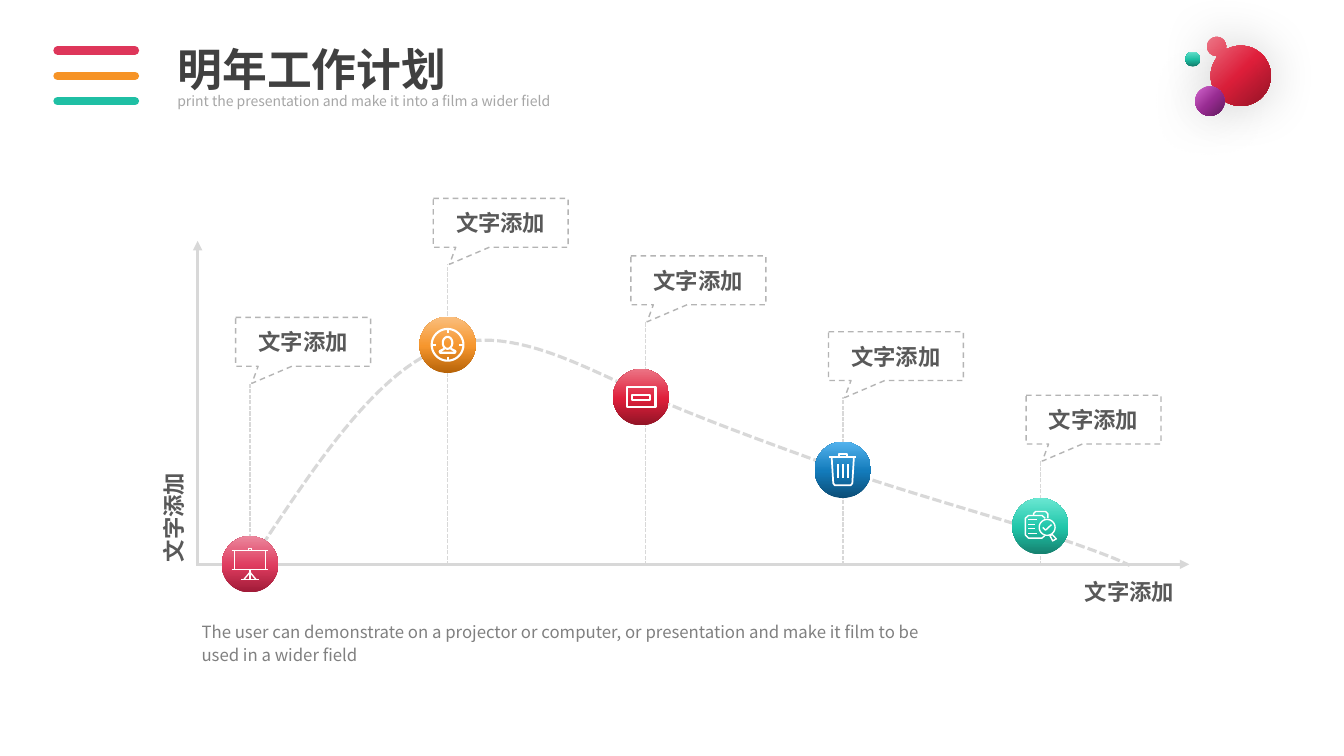
from dataclasses import dataclass
from math import cos, radians, sin

from pptx import Presentation
from pptx.dml.color import RGBColor
from pptx.enum.dml import MSO_LINE
from pptx.enum.shapes import MSO_CONNECTOR, MSO_SHAPE
from pptx.enum.text import MSO_ANCHOR, MSO_AUTO_SIZE, PP_ALIGN
from pptx.oxml import parse_xml
from pptx.oxml.ns import nsdecls, qn
from pptx.oxml.xmlchemy import OxmlElement
from pptx.util import Cm, Pt

Point = tuple[float, float]
Path = list[Point]

FONT = "Noto Sans CJK SC"
LABEL = "文字添加"
GREY, WHITE = "D8D8D8", "FFFFFF"
STEP, START, BASE = 4.98, 6.3, 14.25
DISC = 1.42
ROSE = ("9F1A37", "DF3C5F", "EB869C")
AMBER = ("B76308", "F6962D", "FABE7D")
RED = ("911426", "DF1F3B", "EC7485")
BLUE = ("0C4E77", "137BBB", "54B3EE")
TEAL = ("15806E", "20C6AA", "6AE7D2")
PLUM = ("601B5C", "972B91", "D367CE")


@dataclass
class Stage:
    top: float      # top of the callout
    mid: float      # centre of the disc
    tones: tuple[str, str, str]
    icon: list[Path]
    width: float = 1
    shift: float = 0


def arc(x: float, y: float, rx: float, ry: float, a: float = 0, b: float = 360) -> Path:
    turns = [radians(a + (b - a) * i / 40) for i in range(41)]
    return [(x + rx * cos(t), y + ry * sin(t)) for t in turns]


def box(x: float, y: float, w: float, h: float) -> Path:
    return [(x, y), (x + w, y), (x + w, y + h), (x, y + h), (x, y)]


def curve(start: Point, parts: list[tuple[Point, Point, Point]]) -> Path:
    """Turn a chain of cubic curves into short straight steps."""
    path = [start]
    for b, c, d in parts:
        a = path[-1]
        for i in range(1, 25):
            t = i / 24
            u = 1 - t
            mix = (u**3, 3 * u * u * t, 3 * u * t * t, t**3)
            path.append(tuple(sum(m * p[k] for m, p in zip(mix, (a, b, c, d))) for k in (0, 1)))
    return path


def paint(text: str) -> RGBColor:
    return RGBColor.from_string(text)


def pen(line, color: str, width: float, dash=None) -> None:
    line.color.rgb = paint(color)
    line.width = Pt(width)
    if dash:
        line.dash_style = dash


def blend(shape, tones: tuple[str, str, str], round_: bool = False) -> None:
    """Fill with three tones, upward or spreading from the lower right."""
    stops = "".join(f'<a:gs pos="{pos}"><a:srgbClr val="{tone}"/></a:gs>'
                    for pos, tone in zip((0, 48000, 100000), tones))
    way = ('<a:path path="circle"><a:fillToRect l="100000" t="100000"/></a:path>'
           if round_ else '<a:lin ang="16200000" scaled="0"/>')
    shape.fill.background()
    old = shape._element.spPr.find(qn("a:noFill"))
    old.getparent().replace(old, parse_xml(
        f'<a:gradFill {nsdecls("a")}><a:gsLst>{stops}</a:gsLst>{way}</a:gradFill>'))
    shape.line.fill.background()


def glow(shape) -> None:
    effects = shape._element.spPr.find(qn("a:effectLst"))
    effects.append(parse_xml(
        f'<a:outerShdw {nsdecls("a")} blurRad="{Pt(37)}" dist="0" algn="ctr" rotWithShape="0">'
        '<a:srgbClr val="000000"><a:alpha val="18000"/></a:srgbClr></a:outerShdw>'))


def rule(a: Point, b: Point, color: str, width: float, dash=None,
         arrow: bool = False, cap: bool = False) -> None:
    line = shapes.add_connector(MSO_CONNECTOR.STRAIGHT, *map(Cm, a + b))
    pen(line.line, color, width, dash)
    ln = line.line._get_or_add_ln()
    if arrow:
        tip = OxmlElement("a:tailEnd")
        tip.set("type", "triangle")
        ln.append(tip)
    if cap:
        ln.set("cap", "rnd")
    line._element.spPr.append(OxmlElement("a:effectLst"))


def trace(paths: list[Path], x: float = 0, y: float = 0):
    """Draw all paths as one outline, moved by x and y."""
    spots = [[(Cm(x + px), Cm(y + py)) for px, py in path] for path in paths]
    pencil = shapes.build_freeform(*spots[0][0], scale=1.0)
    for i, path in enumerate(spots):
        if i:
            pencil.move_to(*path[0])
        pencil.add_line_segments(path[1:], close=False)
    shape = pencil.convert_to_shape()
    shape.fill.background()
    shape.shadow.inherit = False
    return shape


def form(kind, x: float, y: float, w: float, h: float):
    shape = shapes.add_shape(kind, Cm(x), Cm(y), Cm(w), Cm(h))
    shape.shadow.inherit = False
    return shape


def write(shape, text: str, size: float, color: str, bold: bool = False,
          align=PP_ALIGN.CENTER, wrap: bool = True, space: float = 1) -> None:
    frame = shape.text_frame
    frame.auto_size = MSO_AUTO_SIZE.NONE
    frame.word_wrap = wrap
    frame.vertical_anchor = MSO_ANCHOR.MIDDLE
    para = frame.paragraphs[0]
    para.alignment, para.line_spacing = align, space
    run = para.add_run()
    run.text = text
    font = run.font
    font.name, font.size, font.bold = FONT, Pt(size), bold
    font.color.rgb = paint(color)
    east = OxmlElement("a:ea")
    east.set("typeface", FONT)
    font._element.find(qn("a:latin")).addnext(east)


def note(x: float, y: float, w: float, h: float):
    return shapes.add_textbox(Cm(x), Cm(y), Cm(w), Cm(h))


easel = [box(-.39, -.34, .78, .47), [(-.46, -.34), (.46, -.34)], [(-.46, .13), (.46, .13)],
         box(-.04, -.4, .08, .06), [(0, .13), (0, .38)],
         [(-.15, .38), (0, .2), (.15, .38)], [(-.23, .39), (.23, .39)]]
person = [arc(0, 0, .4, .4), arc(0, -.05, .12, .15),
          [(-.08, .1), (-.2, .16), (-.19, .2), (.19, .2), (.2, .16), (.08, .1)],
          *[[(.3 * dx, .3 * dy), (.4 * dx, .4 * dy)]
            for dx, dy in ((1, 0), (0, 1), (-1, 0), (0, -1))]]
card = [box(-.36, -.25, .72, .5), box(-.23, -.06, .46, .12)]
basket = [[(-.34, -.32), (.34, -.32)], [(-.1, -.32), (-.1, -.39), (.1, -.39), (.1, -.32)],
          [(-.28, -.32), (-.24, .34), (-.2, .39), (.2, .39), (.24, .34), (.28, -.32)],
          *[[(x, -.14), (x, .2)] for x in (-.13, 0, .13)]]
search = [[(.12, -.2), (.04, -.27), (-.3, -.27), (-.38, -.2), (-.38, .22), (-.3, .3),
           (.04, .3), (.11, .24)],
          [(-.17, -.27), (-.17, -.32), (-.12, -.37), (.13, -.37), (.19, -.31), (.19, -.2)],
          arc(.17, .03, .2, .2), [(.06, .03), (.13, .1), (.28, -.04)],
          [(.3, .21), (.24, .24), (.31, .37), (.4, .32), (.3, .21)],
          *[[(-.31, y), (x, y)] for x, y in ((-.08, -.17), (-.13, -.04), (-.13, .06), (-.08, .19))]]
stages = [Stage(8, 14.22, ROSE, easel), Stage(5, 8.69, AMBER, person, 1.5),
          Stage(6.45, 10.01, RED, card, 1.5, -.1), Stage(8.36, 11.84, BLUE, basket, 1.25),
          Stage(9.96, 13.26, TEAL, search)]

deck = Presentation()
deck.slide_width, deck.slide_height = Cm(33.87), Cm(19.05)
slide = deck.slides.add_slide(deck.slide_layouts[5])
shapes = slide.shapes

title = shapes.title
title.left, title.top, title.width, title.height = map(Cm, (4.22, .91, 7.34, 1.63))
write(title, "明年工作计划", 32, "404040", True, PP_ALIGN.LEFT, False)
write(note(4.22, 2.21, 11, .69), "print the presentation and make it into a film a wider field",
      10, "A6A6A6", align=PP_ALIGN.JUSTIFY)
for i, color in enumerate(("DE365A", "F69326", "1FBFA4")):
    y = 1.27 + .64 * i
    rule((1.45, y), (3.4, y), color, 6, cap=True)

rule((4.98, 14.22), (29.97, 14.22), GREY, 2.25, arrow=True)
rule((4.98, BASE), (4.98, 6.07), GREY, 2.25, arrow=True)
trend = trace([curve((6.27, BASE), [
    ((7.98, 11.66), (9.4, 9.5), (11.07, 8.79)),
    ((12.78, 8.08), (14.71, 9.27), (16.43, 10.01)),
    ((18.14, 10.74), (19.74, 11.3), (21.36, 11.89)),
    ((23.01, 12.45), (25.07, 13.03), (26.24, 13.41)),
    ((27.43, 13.82), (28.09, 14.05), (28.47, BASE))])])
pen(trend.line, GREY, 2.25, MSO_LINE.SQUARE_DOT)

for i, stage in enumerate(stages):
    x = START + STEP * i
    rule((x, BASE), (x, stage.top + 1.65), GREY, 1, MSO_LINE.SQUARE_DOT)
    call = form(MSO_SHAPE.RECTANGULAR_CALLOUT, x - .36, stage.top, 3.4, 1.23)
    call.adjustments[0], call.adjustments[1] = -.38, .85
    call.fill.background()
    pen(call.line, "B4B4B4", 1, MSO_LINE.DASH)
    write(call, LABEL, 16, "595959", True)
    mid = x + stage.shift
    blend(form(MSO_SHAPE.OVAL, mid - DISC / 2, stage.mid - DISC / 2, DISC, DISC), stage.tones)
    pen(trace(stage.icon, mid, stage.mid).line, WHITE, stage.width)

write(note(26.8, 14.43, 3.33, .94), LABEL, 16, "595959", True)
side = note(2.72, 12.57, 3.33, .94)
side.rotation = 270
write(side, LABEL, 16, "595959", True)
write(note(4.83, 15.47, 19.38, 1.42),
      "The user can demonstrate on a projector or computer, or presentation and make it "
      "film to be used in a wider field", 12, "808080", align=PP_ALIGN.LEFT, space=1.14)

blend(form(MSO_SHAPE.OVAL, 29.87, 1.3, .38, .38), TEAL)
twin = trace([arc(31.27, 1.91, .76, .76, 242.5, 578.5) + arc(30.66, 1.17, .24, .24, 91.5, 369.5)])
plum = form(MSO_SHAPE.OVAL, 30.12, 2.18, .74, .74)
for ball, tones in ((twin, RED), (plum, PLUM)):
    blend(ball, tones, True)
    glow(ball)

deck.save("out.pptx")
